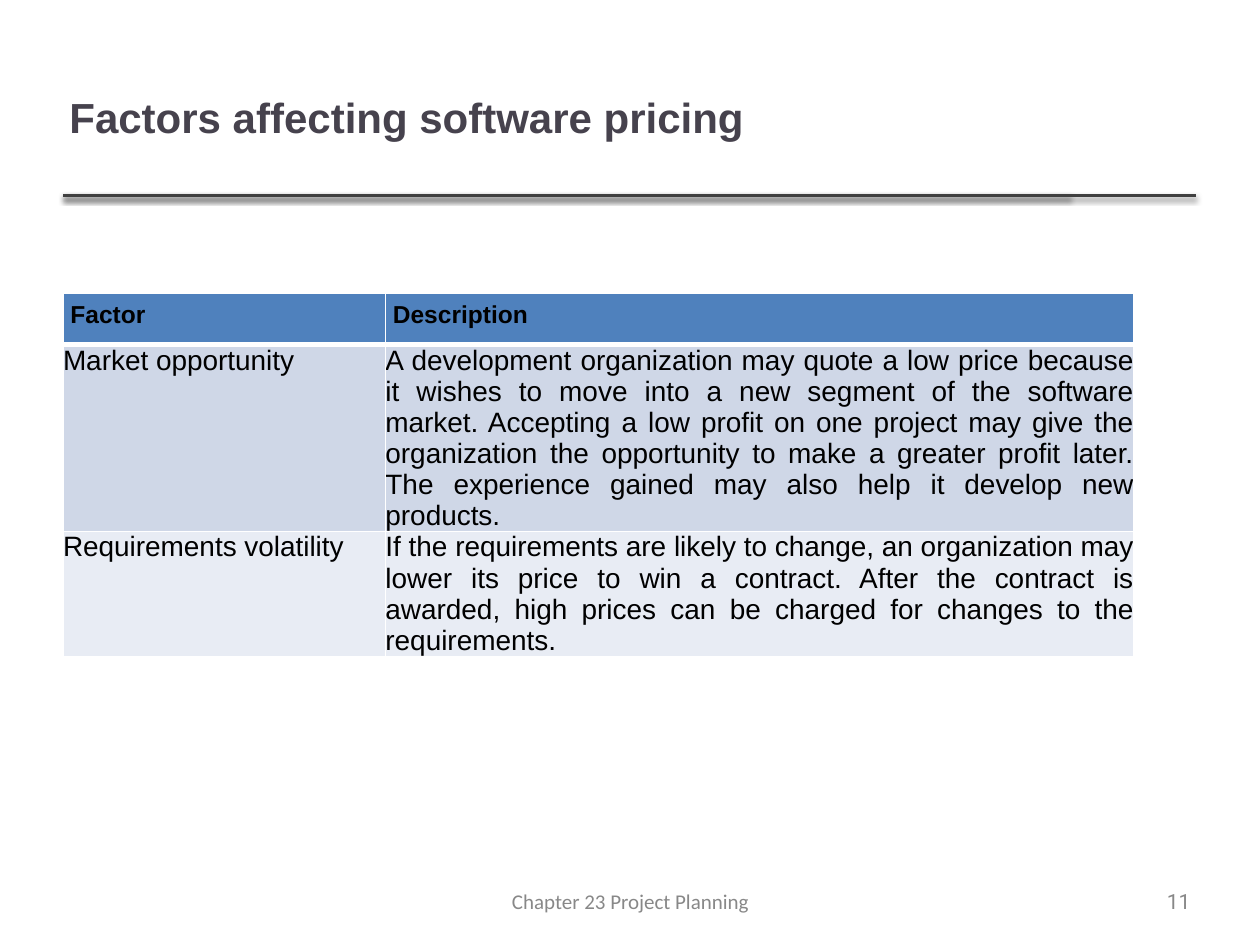
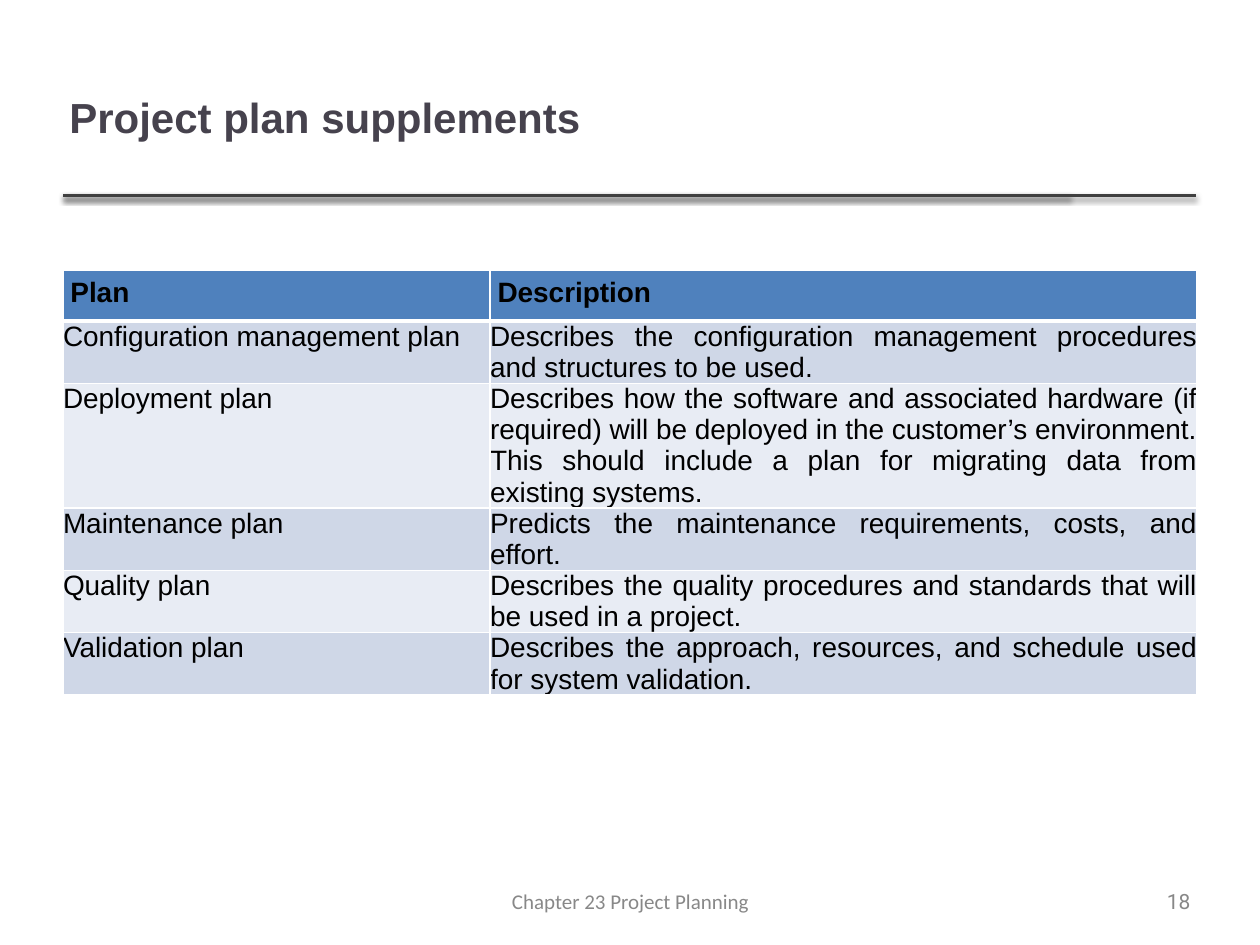
from lxml import etree
from pptx import Presentation
from pptx.dml.color import RGBColor
from pptx.enum import shapes, text
from pptx.oxml import parse_xml
from pptx.oxml.ns import nsdecls
from pptx.util import Cm, Pt

TITLE_COLOR = RGBColor(0x46, 0x42, 0x4D)
RULE_COLOR = RGBColor(0x40, 0x40, 0x40)
FOOTER_COLOR = RGBColor(0x88, 0x88, 0x88)
HEADER_FILL = RGBColor(0x4F, 0x81, 0xBD)
BAND_FILLS = [RGBColor(0xCF, 0xD7, 0xE7), RGBColor(0xE8, 0xEC, 0xF4)]
BLACK = RGBColor(0, 0, 0)
LEFT, JUSTIFY = text.PP_ALIGN.LEFT, text.PP_ALIGN.JUSTIFY
CENTER, RIGHT = text.PP_ALIGN.CENTER, text.PP_ALIGN.RIGHT

RULE_SHADOW = (
    f'<a:effectLst {nsdecls("a")}>'
    '<a:outerShdw blurRad="38100" dist="20000" dir="5400000" rotWithShape="0">'
    '<a:srgbClr val="000000"><a:alpha val="38000"/></a:srgbClr>'
    '</a:outerShdw></a:effectLst>')

MARGIN = 1.27
RULE_Y = 3.94
RULE_ENDS = [21.56, 24.1]
ROW_HEIGHT = 1.03
BODY_LINE_SPACING = 17.8

SLIDES = [
    dict(title="Factors affecting software pricing", number="11",
         top=5.92, columns=[6.5, 15.09], header_size=14,
         rows=[
             ("Factor", "Description"),
             ("Market opportunity",
              "A development organization may quote a low price because it wishes "
              "to move into a new segment of the software market. Accepting a low "
              "profit on one project may give the organization the opportunity to "
              "make a greater profit later. The experience gained may also help it "
              "develop new products."),
             ("Requirements volatility",
              "If the requirements are likely to change, an organization may lower "
              "its price to win a contract. After the contract is awarded, high "
              "prices can be charged for changes to the requirements."),
         ]),
    dict(title="Project plan supplements", number="18",
         top=5.44, columns=[8.61, 14.25], header_size=16,
         rows=[
             ("Plan", "Description"),
             ("Configuration management plan",
              "Describes the configuration management procedures and structures "
              "to be used."),
             ("Deployment plan",
              "Describes how the software and associated hardware (if required) "
              "will be deployed in the customer’s environment. This should include "
              "a plan for migrating data from existing systems."),
             ("Maintenance plan",
              "Predicts the maintenance requirements, costs, and effort."),
             ("Quality plan",
              "Describes the quality procedures and standards that will be used "
              "in a project."),
             ("Validation plan",
              "Describes the approach, resources, and schedule used for system "
              "validation."),
         ]),
]


def write_text(frame, content, font, size, color, align, bold=False):
    frame.text = content
    paragraph = frame.paragraphs[0]
    paragraph.alignment = align
    run_font = paragraph.runs[0].font
    run_font.name, run_font.size, run_font.bold = font, Pt(size), bold
    run_font.color.rgb = color


def add_border(cell, side, points):
    """Draw a white border on one side (L, R, T or B) of a cell."""
    line = parse_xml(
        f'<a:ln{side} {nsdecls("a")} w="{Pt(points)}"><a:solidFill>'
        f'<a:srgbClr val="FFFFFF"/></a:solidFill></a:ln{side}>')
    cell._tc.get_or_add_tcPr().append(line)


presentation = Presentation()
presentation.slide_width, presentation.slide_height = Cm(25.4), Cm(19.05)

for content in SLIDES:
    slide = presentation.slides.add_slide(presentation.slide_layouts[6])

    for end in RULE_ENDS:
        rule = slide.shapes.add_connector(
            shapes.MSO_CONNECTOR.STRAIGHT,
            Cm(MARGIN), Cm(RULE_Y), Cm(end), Cm(RULE_Y))
        rule.line.color.rgb = RULE_COLOR
        rule.line.width = Pt(2)
        rule._element.spPr.append(etree.fromstring(RULE_SHADOW))

    # Title, footer and slide number: place, then wording and type
    for place, style in [
        ((MARGIN, 0.76, 20.27, 3.18),
         (content["title"], "Arial", 24, TITLE_COLOR, LEFT, True)),
        ((8.81, 17.83, 7.8, 0.69),
         ("Chapter 23 Project Planning", "Calibri", 12, FOOTER_COLOR, CENTER)),
        ((22.63, 17.83, 1.5, 0.69),
         (content["number"], "Roboto", 12, FOOTER_COLOR, RIGHT)),
    ]:
        frame = slide.shapes.add_textbox(*map(Cm, place)).text_frame
        frame.word_wrap = True
        frame.vertical_anchor = text.MSO_ANCHOR.MIDDLE
        frame.margin_left = frame.margin_right = Cm(0.13)
        frame.margin_top = frame.margin_bottom = Cm(0.13)
        write_text(frame, *style)

    rows, columns = content["rows"], content["columns"]
    table = slide.shapes.add_table(
        len(rows), len(columns), Cm(MARGIN), Cm(content["top"]),
        Cm(sum(columns)), Cm(ROW_HEIGHT * len(rows))).table
    for column, width in zip(table.columns, columns):
        column.width = Cm(width)

    for row_index, row in enumerate(rows):
        table.rows[row_index].height = Cm(ROW_HEIGHT)
        is_header = row_index == 0
        for column_index, wording in enumerate(row):
            cell = table.cell(row_index, column_index)
            inset = Cm(0.15 if is_header else 0)
            cell.margin_left = cell.margin_right = inset
            cell.margin_top = cell.margin_bottom = inset
            write_text(cell.text_frame, wording, "Arial",
                       content["header_size"] if is_header else 16, BLACK,
                       JUSTIFY if is_header or column_index else LEFT, is_header)
            if not is_header:
                cell.text_frame.paragraphs[0].line_spacing = Pt(BODY_LINE_SPACING)
            add_border(cell, "L", 1)
            add_border(cell, "R", 1)
            add_border(cell, "T", 3 if row_index == 1 else 1)
            add_border(cell, "B", 3 if is_header else 1)
            cell.fill.solid()
            cell.fill.fore_color.rgb = (
                HEADER_FILL if is_header else BAND_FILLS[(row_index - 1) % 2])

presentation.save("out.pptx")
